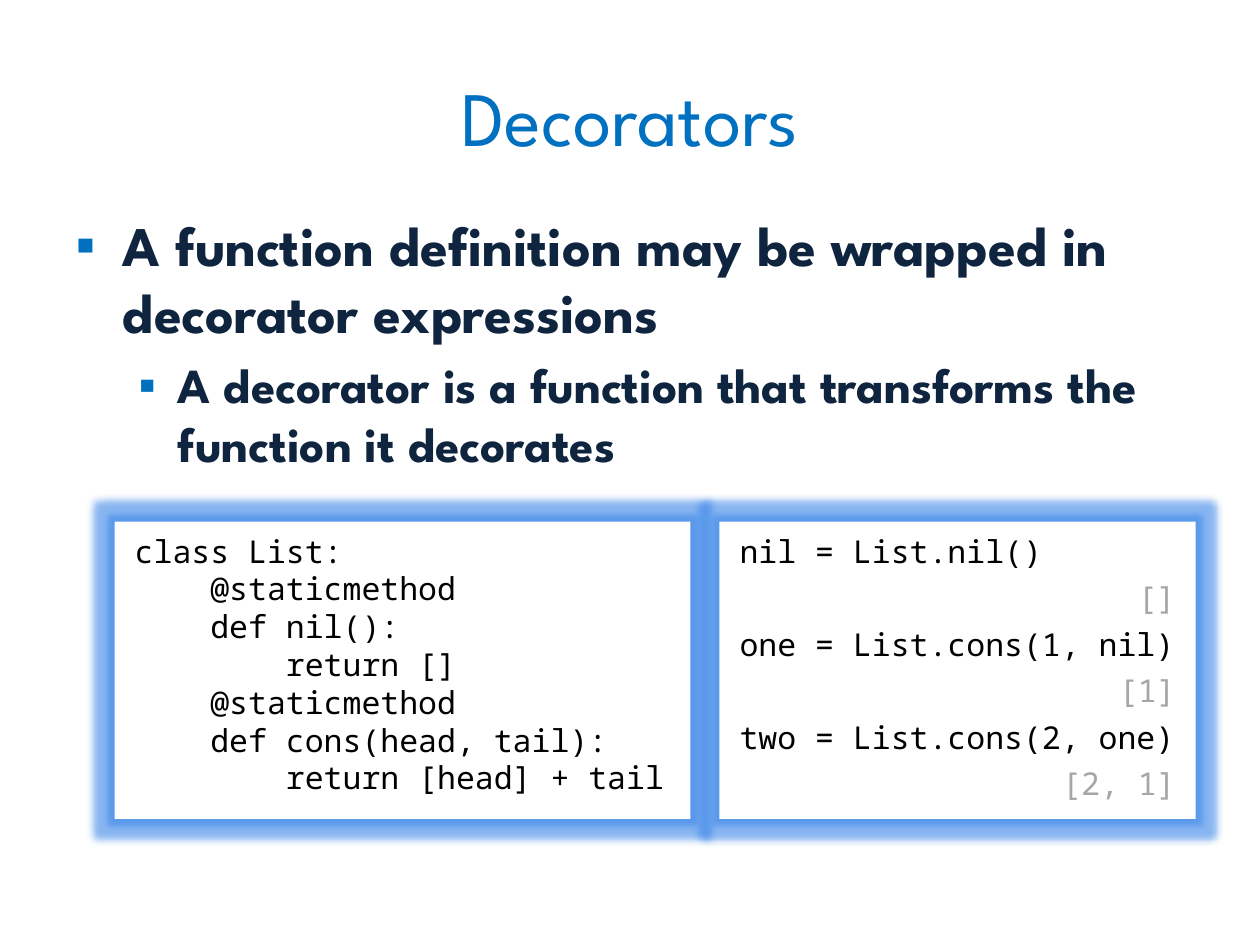
from lxml import etree
from pptx import Presentation
from pptx.dml.color import RGBColor
from pptx.enum.shapes import MSO_SHAPE
from pptx.enum.text import MSO_ANCHOR, MSO_AUTO_SIZE, PP_ALIGN
from pptx.oxml.ns import qn
from pptx.util import Pt

LEFT, CENTER, RIGHT = PP_ALIGN.LEFT, PP_ALIGN.CENTER, PP_ALIGN.RIGHT
TOP, MIDDLE = MSO_ANCHOR.TOP, MSO_ANCHOR.MIDDLE
NO_AUTOFIT = MSO_AUTO_SIZE.NONE
RECTANGLE = MSO_SHAPE.RECTANGLE

BLUE = RGBColor(0x00, 0x70, 0xC0)
NAVY = RGBColor(0x0F, 0x24, 0x3E)
BLACK = RGBColor(0x00, 0x00, 0x00)
GRAY = RGBColor(0xA6, 0xA6, 0xA6)
WHITE = RGBColor(0xFF, 0xFF, 0xFF)
GLOW = RGBColor(0x3B, 0x86, 0xE8)

TEXT_FONT = "League Spartan"
CODE_FONT = "Noto Sans Mono"

TITLE_BOX = (36, 20.88, 648, 90)
BODY_BOX = (36, 116.64, 648, 356.4)
CLASS_BOX = (65.52, 298.08, 329.04, 169.92)
USAGE_BOX = (411.12, 298.08, 272.16, 169.92)

BULLETS = [
    ("A function definition may be wrapped in decorator expressions", 0, 32, 27, 27),
    ("A decorator is a function that transforms the function it decorates", 1, 28, 58.5, 22.5),
]
CLASS_CODE = [
    "class List:",
    "    @staticmethod",
    "    def nil():",
    "        return []",
    "    @staticmethod",
    "    def cons(head, tail):",
    "        return [head] + tail",
]
USAGE_CODE = [
    ("nil = List.nil()", "[]"),
    ("one = List.cons(1, nil)", "[1]"),
    ("two = List.cons(2, one)", "[2, 1]"),
]


def place(shape, box):
    """Move a shape to a box given in points."""
    shape.left, shape.top, shape.width, shape.height = map(Pt, box)


def add_run(paragraph, text, font_name, size, color, bold=False):
    """Append one formatted run to a paragraph."""
    run = paragraph.add_run()
    run.text = text
    run.font.name = font_name
    run.font.size = Pt(size)
    run.font.color.rgb = color
    run.font.bold = bold


def set_bullet(paragraph, margin, hanging):
    """Give a paragraph a blue square bullet with a hanging indent."""
    properties = paragraph._p.get_or_add_pPr()
    properties.set("marL", str(Pt(margin)))
    properties.set("indent", str(-Pt(hanging)))
    color = etree.SubElement(properties, qn("a:buClr"))
    etree.SubElement(color, qn("a:srgbClr"), val=str(BLUE))
    etree.SubElement(properties, qn("a:buChar"), char="▪")


def add_glow(shape, radius, opacity):
    """Replace the shadow of a shape with a soft glow."""
    shape.shadow.inherit = False
    effects = shape._element.spPr.find(qn("a:effectLst"))
    glow = etree.SubElement(effects, qn("a:glow"), rad=str(Pt(radius)))
    color = etree.SubElement(glow, qn("a:srgbClr"), val=str(GLOW))
    etree.SubElement(color, qn("a:alpha"), val=str(opacity * 1000))


def fill_title(slide, box):
    """Place and fill the title."""
    title = slide.shapes.title
    place(title, box)
    frame = title.text_frame
    frame.auto_size = NO_AUTOFIT
    frame.vertical_anchor = MIDDLE
    paragraph = frame.paragraphs[0]
    paragraph.alignment = CENTER
    add_run(paragraph, "Decorators", TEXT_FONT, 44, BLUE)


def fill_body(slide, box):
    """Place and fill the bullet list."""
    body = slide.placeholders[1]
    place(body, box)
    frame = body.text_frame
    frame.auto_size = NO_AUTOFIT
    for index, (text, level, size, margin, hanging) in enumerate(BULLETS):
        paragraph = frame.add_paragraph() if index else frame.paragraphs[0]
        paragraph.level = level
        set_bullet(paragraph, margin, hanging)
        add_run(paragraph, text, TEXT_FONT, size, NAVY, bold=True)


def add_code_panel(slide, box, lines, space_after=0):
    """Add a glowing panel of code lines, each with its alignment and color."""
    panel = slide.shapes.add_shape(RECTANGLE, *map(Pt, box))
    panel.fill.solid()
    panel.fill.fore_color.rgb = WHITE
    panel.line.fill.background()
    add_glow(panel, 8, 60)
    frame = panel.text_frame
    frame.word_wrap = True
    frame.vertical_anchor = TOP
    frame.margin_left = frame.margin_right = Pt(11.52)
    frame.margin_top = frame.margin_bottom = Pt(5.76)
    for index, (text, alignment, color) in enumerate(lines):
        paragraph = frame.add_paragraph() if index else frame.paragraphs[0]
        paragraph.alignment = alignment
        paragraph.space_after = Pt(space_after)
        add_run(paragraph, text, CODE_FONT, 18, color)


def main():
    """Build and save the slide."""
    presentation = Presentation()
    presentation.slide_width, presentation.slide_height = Pt(720), Pt(540)
    slide = presentation.slides.add_slide(presentation.slide_layouts[1])
    fill_title(slide, TITLE_BOX)
    fill_body(slide, BODY_BOX)
    add_code_panel(slide, CLASS_BOX, [(line, LEFT, BLACK) for line in CLASS_CODE])
    usage_lines = []
    for statement, result in USAGE_CODE:
        usage_lines += [(statement, LEFT, BLACK), (result, RIGHT, GRAY)]
    add_code_panel(slide, USAGE_BOX, usage_lines, space_after=5)
    presentation.save("out.pptx")


if __name__ == "__main__":
    main()
